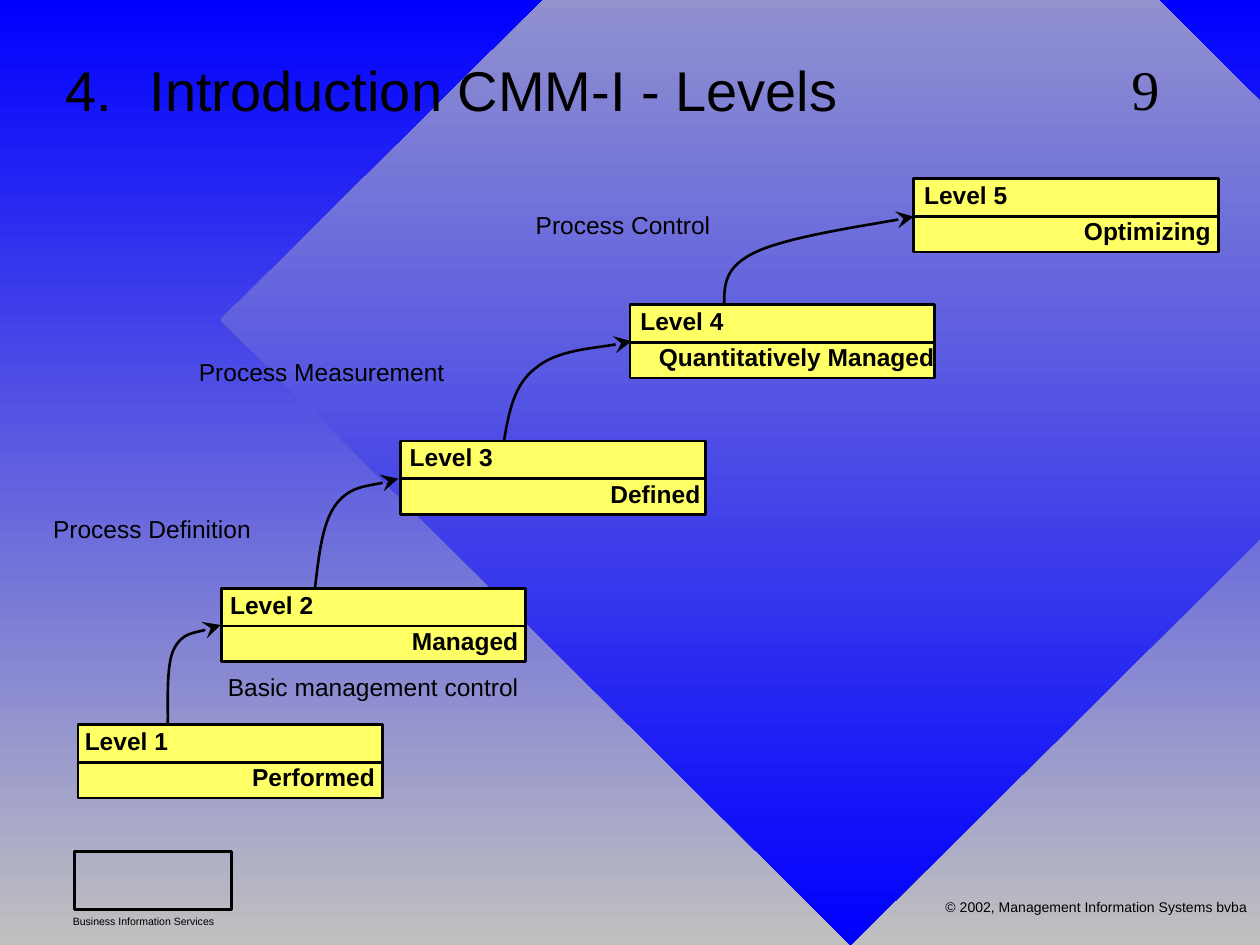
from dataclasses import dataclass

from lxml import etree
from pptx import Presentation
from pptx.dml.color import RGBColor
from pptx.enum.shapes import MSO_CONNECTOR, MSO_SHAPE
from pptx.enum.text import MSO_ANCHOR, PP_ALIGN
from pptx.oxml.ns import qn
from pptx.util import Cm, Pt

RECT, DIAMOND = MSO_SHAPE.RECTANGLE, MSO_SHAPE.DIAMOND
STRAIGHT = MSO_CONNECTOR.STRAIGHT
LEFT, CENTER, RIGHT = PP_ALIGN.LEFT, PP_ALIGN.CENTER, PP_ALIGN.RIGHT
TOP, MIDDLE = MSO_ANCHOR.TOP, MSO_ANCHOR.MIDDLE

INK, YELLOW, BLUE, SILVER = "010000", "FFFF66", "0000FF", "C0C0C0"
BOX_W, BOX_H, SPLIT = 6.14, 1.48, 0.76
TEXT_H = 0.59
PADDED = (0.25, 0.13)


@dataclass
class Level:
    label: str
    name: str
    x: float
    y: float
    label_indent: float
    name_gap: float
    name_w: float = 3.6


@dataclass
class Caption:
    text: str
    x: float
    y: float
    w: float
    align: PP_ALIGN = LEFT


LEVELS = [
    Level("Level 1", "Performed", 1.57, 14.61, 0.14, 0.15),
    Level("Level 2", "Managed", 4.46, 11.86, 0.18, 0.15),
    Level("Level 3", "Defined", 8.08, 8.89, 0.18, 0.1),
    Level("Level 4", "Quantitatively Managed", 12.7, 6.14, 0.21, 0, 5.79),
    Level("Level 5", "Optimizing", 18.42, 3.6, 0.21, 0.15),
]

CAPTIONS = [
    Caption("Basic management control", 3.18, 13.54, 8.69, CENTER),
    Caption("Process Definition", 1.07, 10.36, 6.35),
    Caption("Process Measurement", 4.01, 7.19, 6.35),
    Caption("Process Control", 10.8, 4.24, 4.87),
]

CURVES = [
    [(3.38, 14.61), (3.4, 14.35), (3.33, 13.41), (3.51, 13.08),
     (3.68, 12.75), (4.24, 12.7), (4.45, 12.6)],
    [(6.35, 11.86), (6.43, 11.18), (6.5, 10.52), (6.78, 10.16),
     (7.06, 9.8), (7.77, 9.75), (8.03, 9.65)],
    [(10.16, 8.89), (10.26, 8.31), (10.36, 7.75), (10.8, 7.42),
     (11.23, 7.06), (12.32, 6.99), (12.73, 6.88)],
    [(14.6, 6.15), (14.6, 5.74), (14.6, 5.38), (15.24, 5.08),
     (15.88, 4.78), (17.75, 4.5), (18.42, 4.37)],
]


def rgb(value: str) -> RGBColor:
    return RGBColor.from_string(value)


def set_gradient(fill, start: str, end: str) -> None:
    fill.gradient()
    fill.gradient_angle = 270
    for stop, color in zip(fill.gradient_stops, (start, end)):
        stop.color.rgb = rgb(color)


def set_line(line, width: float = 1.5) -> None:
    line.color.rgb = rgb(INK)
    line.width = Pt(width)


def add_box(s, kind: MSO_SHAPE, x: float, y: float, w: float, h: float):
    sp = s.shapes.add_shape(kind, Cm(x), Cm(y), Cm(w), Cm(h))
    sp.shadow.inherit = False
    return sp


def add_text(s, text: str, x: float, y: float, w: float, h: float = TEXT_H, *,
             size: float = 14, bold: bool = False, font: str = "Arial",
             align: PP_ALIGN = LEFT, anchor: MSO_ANCHOR = TOP,
             inset: tuple[float, float] = (0, 0), wrap: bool = True):
    tf = s.shapes.add_textbox(Cm(x), Cm(y), Cm(w), Cm(h)).text_frame
    tf.word_wrap = wrap
    tf.vertical_anchor = anchor
    tf.margin_left = tf.margin_right = Cm(inset[0])
    tf.margin_top = tf.margin_bottom = Cm(inset[1])
    p = tf.paragraphs[0]
    p.alignment = align
    r = p.add_run()
    r.text = text
    r.font.name = font
    r.font.size = Pt(size)
    r.font.bold = bold
    r.font.color.rgb = rgb(INK)
    return p


def set_indent(p, left: float, first: float) -> None:
    pPr = p._p.get_or_add_pPr()
    pPr.set("marL", str(Cm(left)))
    pPr.set("indent", str(Cm(first)))


def add_level(s, level: Level) -> None:
    sp = add_box(s, RECT, level.x, level.y, BOX_W, BOX_H)
    sp.fill.solid()
    sp.fill.fore_color.rgb = rgb(YELLOW)
    set_line(sp.line)
    right, middle = level.x + BOX_W, level.y + SPLIT
    cx = s.shapes.add_connector(STRAIGHT, Cm(level.x), Cm(middle), Cm(right), Cm(middle))
    set_line(cx.line)
    etree.SubElement(cx._element.spPr, qn("a:effectLst"))
    add_text(s, level.label, level.x + level.label_indent, level.y + 0.03, 3.6, bold=True)
    add_text(s, level.name, right - level.name_gap - level.name_w, middle,
             level.name_w, bold=True, align=RIGHT)


def add_curved_arrow(s, points: list[tuple[float, float]]) -> None:
    start, *rest = [(Cm(x), Cm(y)) for x, y in points]
    builder = s.shapes.build_freeform(*start)
    builder.add_line_segments(rest, close=False)
    sp = builder.convert_to_shape()
    sp.shadow.inherit = False
    sp.fill.background()
    set_line(sp.line)
    segments = sp._element.xpath(".//a:lnTo")
    outline = segments[0].getparent()
    for i in range(0, len(segments), 3):
        cubic = etree.SubElement(outline, qn("a:cubicBezTo"))
        for segment in segments[i:i + 3]:
            cubic.append(segment[0])
            outline.remove(segment)
    etree.SubElement(sp.line._get_or_add_ln(), qn("a:tailEnd"),
                     type="stealth", w="lg", len="lg")


def main() -> None:
    prs = Presentation()
    prs.slide_width, prs.slide_height = Cm(25.4), Cm(19.05)
    s = prs.slides.add_slide(prs.slide_layouts[6])
    set_gradient(s.background.fill, BLUE, SILVER)

    diamond = add_box(s, DIAMOND, 4.45, -6.15, 25.4, 25.2)
    set_gradient(diamond.fill, SILVER, BLUE)
    diamond.line.fill.background()

    emblem = add_box(s, RECT, 1.5, 17.17, 3.17, 1.17)
    emblem.fill.background()
    set_line(emblem.line)
    add_text(s, "Business Information Services", 1.47, 18.44, 3.23, 0.25, size=6, wrap=False)
    add_text(s, "© 2002, Management Information Systems bvba", 17.58, 17.98, 7.82, 0.61,
             size=8, align=RIGHT, inset=PADDED)

    p = add_text(s, "4.\tIntroduction CMM-I - Levels", 1.07, 1.27, 23.29, 1.27,
                 size=32, anchor=MIDDLE, inset=PADDED)
    p.line_spacing = 0.85
    set_indent(p, 1.7, -1.7)
    p = add_text(s, "9", 21.95, 0.97, 2.97, 1.27, size=32,
                 font="Times New Roman", inset=PADDED)
    set_indent(p, 0.61, 0)

    for level in LEVELS:
        add_level(s, level)
    for points in CURVES:
        add_curved_arrow(s, points)
    for c in CAPTIONS:
        add_text(s, c.text, c.x, c.y, c.w, align=c.align)

    prs.save("out.pptx")


if __name__ == "__main__":
    main()
